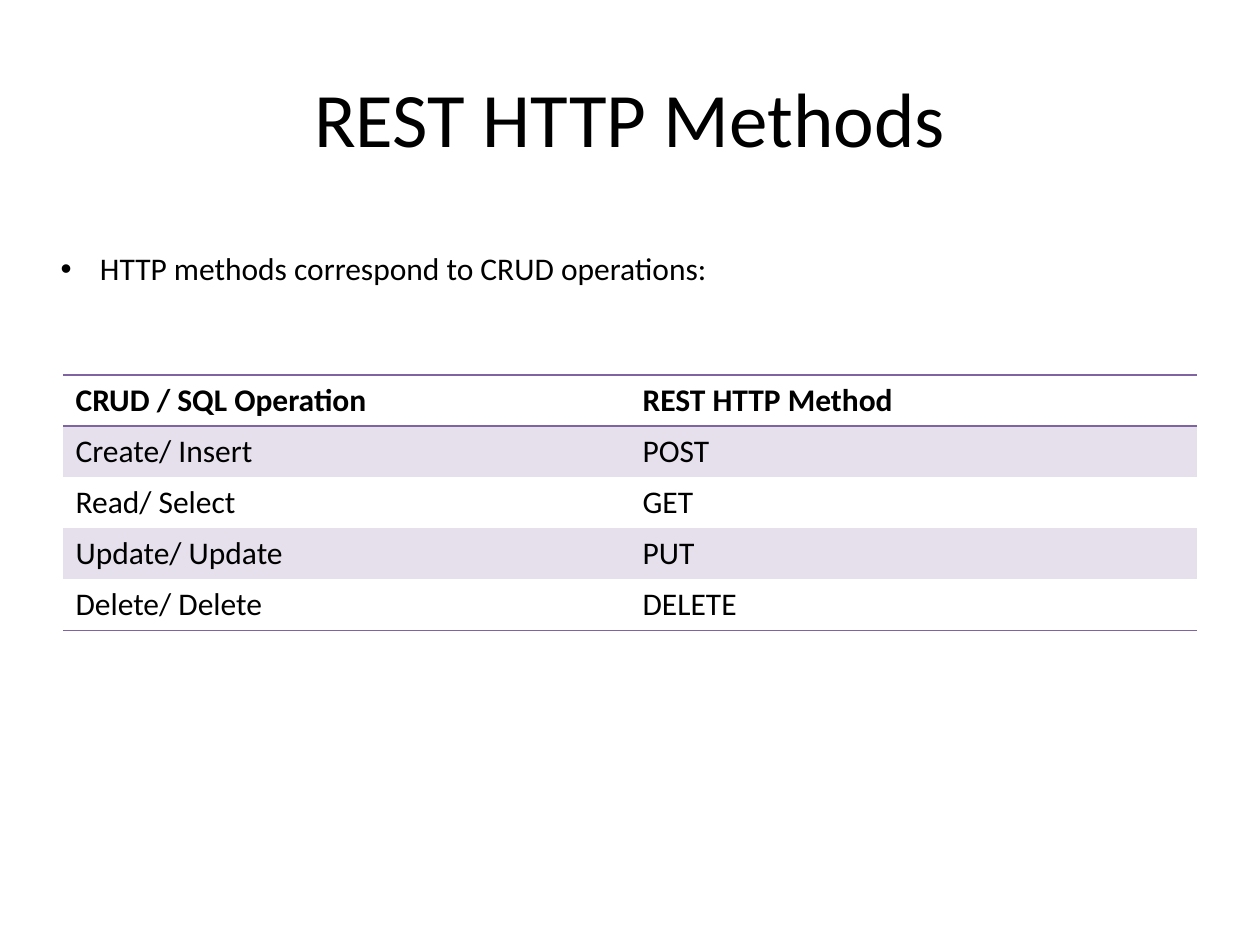
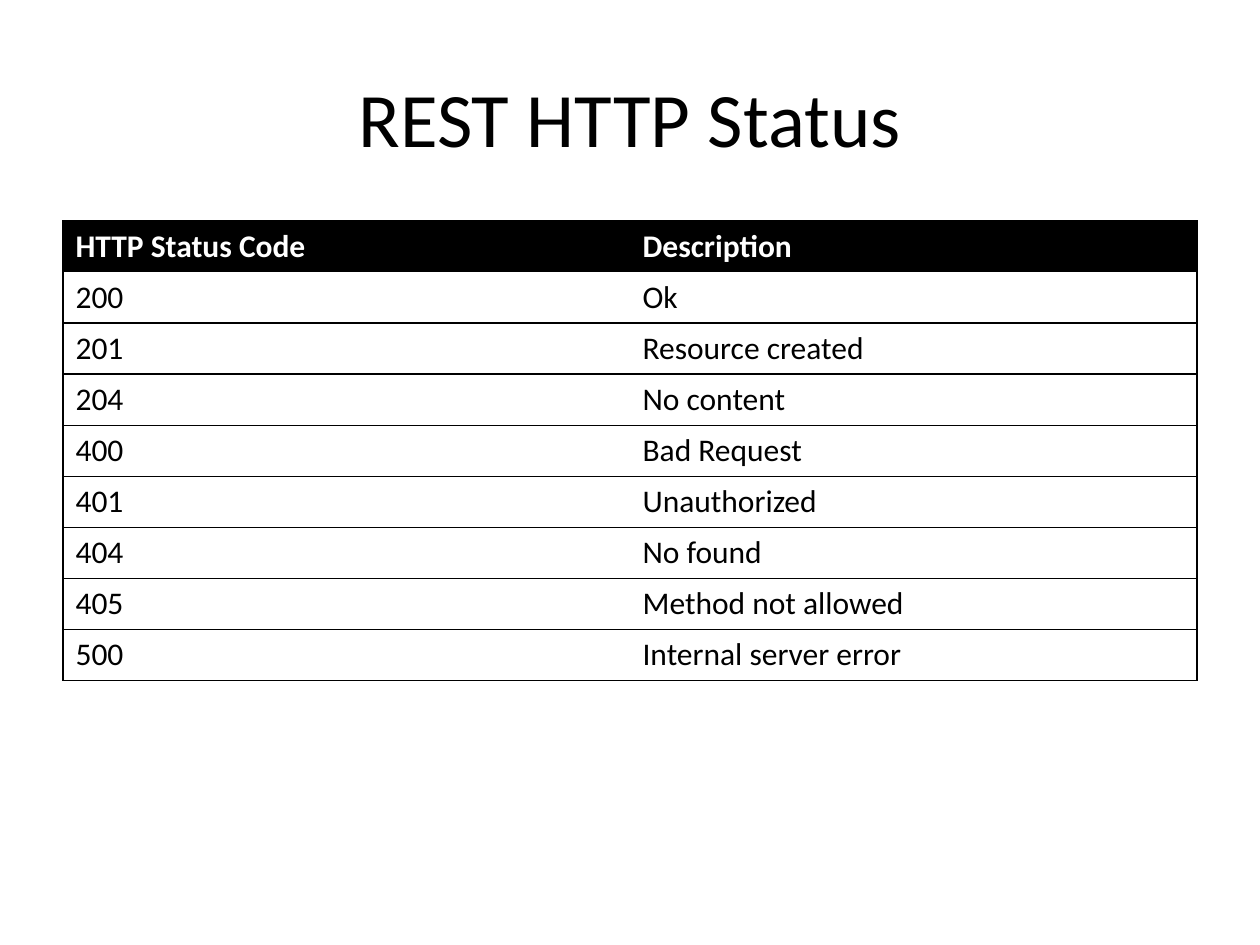
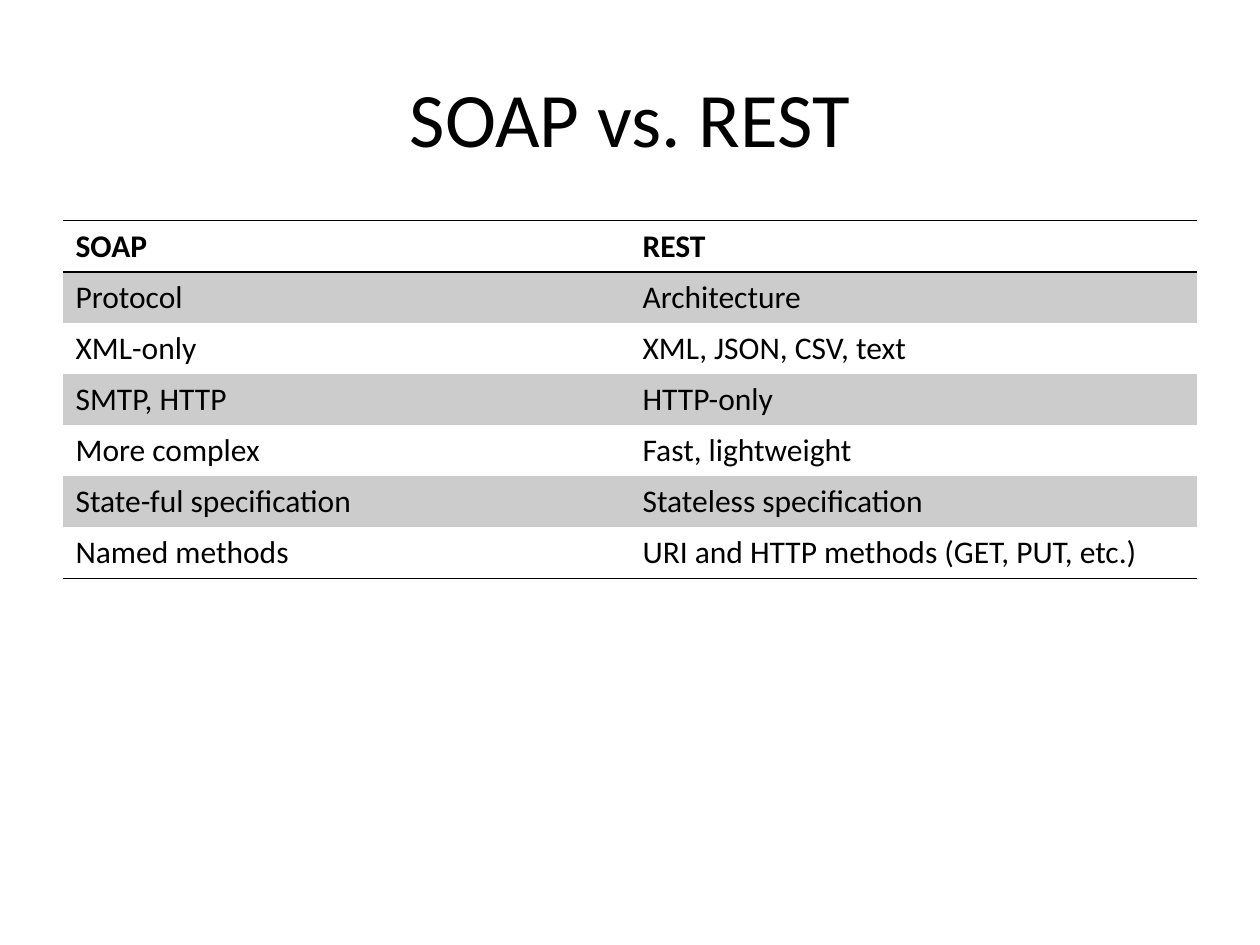
from lxml.etree import SubElement
from pptx import Presentation
from pptx.dml.color import RGBColor
from pptx.enum.text import MSO_ANCHOR, MSO_AUTO_SIZE, PP_ALIGN
from pptx.oxml import parse_xml
from pptx.oxml.ns import nsdecls, qn
from pptx.util import Cm, Pt

# Shared look
BLACK = RGBColor(0x00, 0x00, 0x00)
WHITE = RGBColor(0xFF, 0xFF, 0xFF)
PURPLE = RGBColor(0x80, 0x64, 0xA2)
LIGHT_PURPLE = RGBColor(0xE6, 0xE0, 0xEC)
LIGHT_GREY = RGBColor(0xCC, 0xCC, 0xCC)
FONT = "Calibri"
TITLE_SIZE, TEXT_SIZE = Pt(44), Pt(18)
MARGIN, CONTENT_WIDTH = Cm(1.27), Cm(22.86)
ROW_HEIGHT = Cm(1.03)
NO_GRID_STYLE = "{2D5ABB26-0587-4C30-8999-92F81FD0307C}"
TITLE_AND_CONTENT, TITLE_ONLY = 1, 5

# Table looks: "rules" is "outer" (top, header, bottom) or "rows" (every row, boxed)
PURPLE_BANDS = dict(line=PURPLE, width=Pt(1), rules="outer",
                    header_fill=None, header_text=BLACK, band=LIGHT_PURPLE)
GREY_BANDS = dict(PURPLE_BANDS, line=BLACK, band=LIGHT_GREY)
BOXED_ROWS = dict(line=BLACK, width=Pt(0.75), rules="rows",
                  header_fill=BLACK, header_text=WHITE, band=None)

# Content
SLIDES = [
    {
        "title": "REST HTTP Methods",
        "bullet": "HTTP methods correspond to CRUD operations:",
        "top": Cm(7.56),
        "look": PURPLE_BANDS,
        "rows": [
            ("CRUD / SQL Operation", "REST HTTP Method"),
            ("Create/ Insert", "POST"),
            ("Read/ Select", "GET"),
            ("Update/ Update", "PUT"),
            ("Delete/ Delete", "DELETE"),
        ],
    },
    {
        "title": "REST HTTP Status",
        "top": Cm(4.45),
        "look": BOXED_ROWS,
        "rows": [
            ("HTTP Status Code", "Description"),
            ("200", "Ok"),
            ("201", "Resource created"),
            ("204", "No content"),
            ("400", "Bad Request"),
            ("401", "Unauthorized"),
            ("404", "No found"),
            ("405", "Method not allowed"),
            ("500", "Internal server error"),
        ],
    },
    {
        "title": "SOAP vs. REST",
        "top": Cm(4.45),
        "look": GREY_BANDS,
        "rows": [
            ("SOAP", "REST"),
            ("Protocol", "Architecture"),
            ("XML-only", "XML, JSON, CSV, text"),
            ("SMTP, HTTP", "HTTP-only"),
            ("More complex", "Fast, lightweight"),
            ("State-ful specification", "Stateless specification"),
            ("Named methods", "URI and HTTP methods (GET, PUT, etc.)"),
        ],
    },
]


def place(shape, left, top, width, height):
    shape.left, shape.top, shape.width, shape.height = left, top, width, height


def format_font(paragraph, size, color=BLACK, bold=False):
    for run in paragraph.runs:
        font = run.font
        font.name, font.size, font.bold = FONT, size, bold
        font.color.rgb = color


def add_title(slide, text):
    title = slide.shapes.title
    place(title, MARGIN, Cm(0.76), CONTENT_WIDTH, Cm(3.18))
    title.text_frame.text = text
    title.text_frame.vertical_anchor = MSO_ANCHOR.MIDDLE
    paragraph = title.text_frame.paragraphs[0]
    paragraph.alignment = PP_ALIGN.CENTER
    format_font(paragraph, TITLE_SIZE)


def add_bullet(slide, text):
    body = slide.placeholders[1]
    place(body, Cm(-0.3), Cm(4.9), Cm(23.44), Cm(1.03))
    body.text_frame.text = text
    body.text_frame.auto_size = MSO_AUTO_SIZE.SHAPE_TO_FIT_TEXT
    paragraph = body.text_frame.paragraphs[0]
    paragraph.level = 1
    paragraph.space_before = Pt(0)
    properties = paragraph._p.get_or_add_pPr()
    properties.set("marL", str(Cm(2.06)))
    properties.set("indent", str(Cm(-0.79)))
    SubElement(properties, qn("a:buFont"), typeface="Arial")
    SubElement(properties, qn("a:buChar"), char="•")
    format_font(paragraph, TEXT_SIZE)


def set_borders(cell, sides, color, width):
    """Draw the given sides, out of L, R, T and B, and clear the others."""
    properties = cell._tc.get_or_add_tcPr()
    for index, side in enumerate("LRTB"):
        paint = (f'<a:solidFill><a:srgbClr val="{color}"/></a:solidFill>'
                 if side in sides else "<a:noFill/>")
        properties.insert(index, parse_xml(
            f'<a:ln{side} {nsdecls("a")} w="{width}">{paint}</a:ln{side}>'))


def border_sides(look, row, column, last_row, last_column):
    if look["rules"] == "outer":
        return {0: "TB", 1: "T", last_row: "B"}.get(row, "")
    return "TB" + ("L" if column == 0 else "") + ("R" if column == last_column else "")


def add_comparison_table(slide, rows, top, look):
    row_count, column_count = len(rows), len(rows[0])
    frame = slide.shapes.add_table(row_count, column_count, MARGIN, top,
                                   CONTENT_WIDTH, ROW_HEIGHT * row_count)
    table = frame.table
    table._tbl.tblPr.find(qn("a:tableStyleId")).text = NO_GRID_STYLE
    for row, texts in enumerate(rows):
        table.rows[row].height = ROW_HEIGHT
        is_header = row == 0
        fill = look["header_fill"] if is_header else look["band"] if row % 2 else None
        for column, text in enumerate(texts):
            cell = table.cell(row, column)
            cell.text_frame.text = text
            format_font(cell.text_frame.paragraphs[0], TEXT_SIZE,
                        look["header_text"] if is_header else BLACK, is_header)
            if fill is None:
                cell.fill.background()
            else:
                cell.fill.solid()
                cell.fill.fore_color.rgb = fill
            sides = border_sides(look, row, column, row_count - 1, column_count - 1)
            set_borders(cell, sides, look["line"], look["width"])


def main():
    presentation = Presentation()
    presentation.slide_width, presentation.slide_height = Cm(25.4), Cm(19.05)
    for content in SLIDES:
        layout = TITLE_AND_CONTENT if "bullet" in content else TITLE_ONLY
        slide = presentation.slides.add_slide(presentation.slide_layouts[layout])
        add_title(slide, content["title"])
        if "bullet" in content:
            add_bullet(slide, content["bullet"])
        add_comparison_table(slide, content["rows"], content["top"], content["look"])
    presentation.save("out.pptx")


if __name__ == "__main__":
    main()
